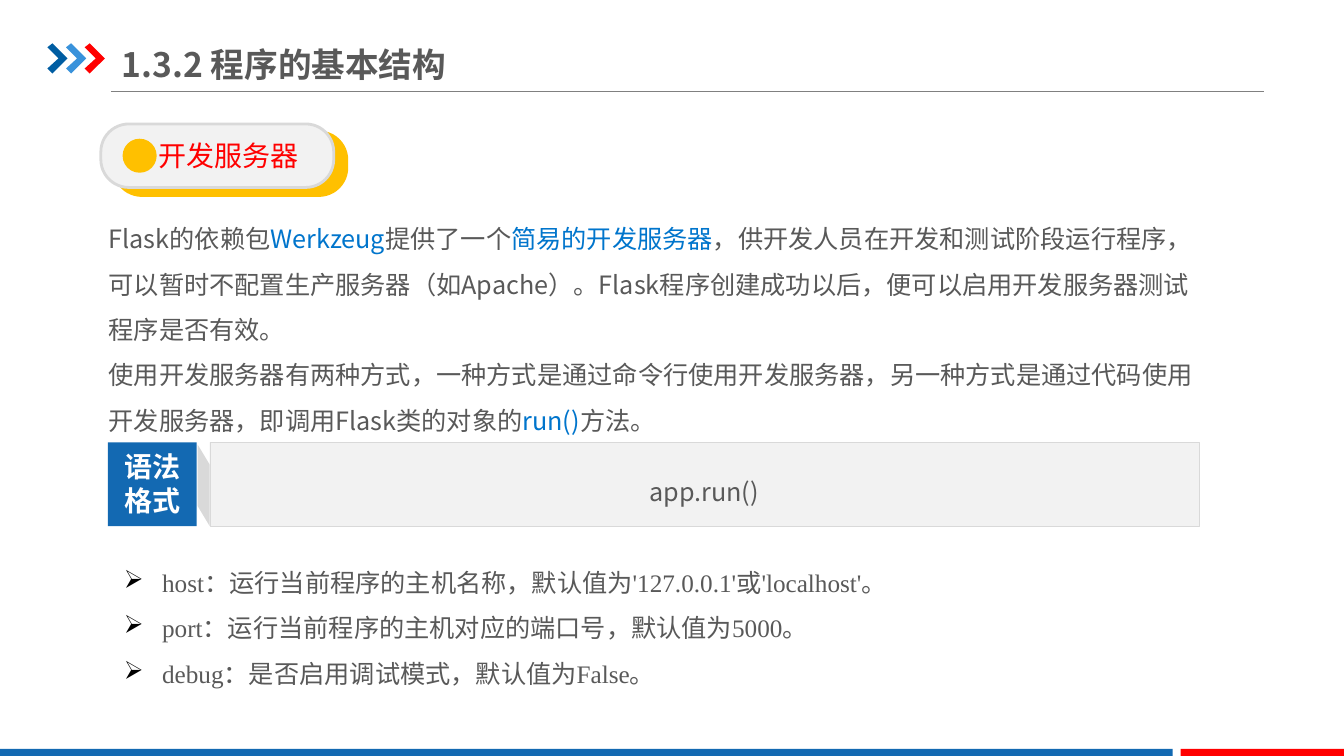
from dataclasses import dataclass

from lxml import etree
from pptx import Presentation
from pptx.dml.color import RGBColor
from pptx.enum import shapes, text
from pptx.oxml import ns
from pptx.util import Inches, Pt

COLORS = {
    "blue": "1369B2", "dark_blue": "005DA2", "light_blue": "3992DB",
    "keyword": "0075CC", "red": "FF0000", "amber": "FFC000",
    "body": "595959", "rule": "808080", "border": "D9D9D9",
    "panel": "F2F2F2", "white": "FFFFFF", "black": "000000",
}
SANS, SERIF = "Noto Sans CJK SC", "Times New Roman"
RECTANGLE = shapes.MSO_SHAPE.RECTANGLE
ROUNDED = shapes.MSO_SHAPE.ROUNDED_RECTANGLE
OVAL = shapes.MSO_SHAPE.OVAL
CENTER = text.PP_ALIGN.CENTER


@dataclass
class Piece:
    content: str
    color: str = "body"


@dataclass
class Style:
    size: float = 18
    font: str = SANS
    bold: bool = False
    spacing: float = 1.0
    align: text.PP_ALIGN = text.PP_ALIGN.LEFT
    bullet: str = ""


@dataclass
class Block:
    kind: shapes.MSO_SHAPE
    box: tuple[float, float, float, float]
    fill: str
    line: str = ""
    line_width: float = 0


def rgb(name: str) -> RGBColor:
    return RGBColor.from_string(COLORS[name])


def add_block(slide, block: Block):
    shape = slide.shapes.add_shape(block.kind, *map(Inches, block.box))
    shape.shadow.inherit = False
    shape.fill.solid()
    shape.fill.fore_color.rgb = rgb(block.fill)
    if block.line:
        shape.line.color.rgb = rgb(block.line)
        shape.line.width = Pt(block.line_width)
    else:
        shape.line.fill.background()
    if block.kind == ROUNDED:
        shape.adjustments[0] = 0.44
    return shape


def add_outline(slide, points: list[tuple[float, float]], fill: str) -> None:
    corners = [(Inches(x), Inches(y)) for x, y in points]
    builder = slide.shapes.build_freeform(*corners[0])
    builder.add_line_segments(corners[1:], close=True)
    shape = builder.convert_to_shape()
    shape.shadow.inherit = False
    shape.fill.solid()
    shape.fill.fore_color.rgb = rgb(fill)
    shape.line.fill.background()


def add_bullet(paragraph, character: str) -> None:
    paragraph.level = 1
    properties = paragraph._p.get_or_add_pPr()
    properties.set("marL", str(Inches(0.38)))
    properties.set("indent", str(-Inches(0.38)))
    color = etree.SubElement(properties, ns.qn("a:buClr"))
    etree.SubElement(color, ns.qn("a:srgbClr"), val=COLORS["black"])
    etree.SubElement(properties, ns.qn("a:buChar"), char=character)


def write(frame, paragraphs: list[list[Piece]], style: Style) -> None:
    for index, pieces in enumerate(paragraphs):
        paragraph = frame.add_paragraph() if index else frame.paragraphs[0]
        paragraph.alignment = style.align
        paragraph.line_spacing = style.spacing
        if style.bullet:
            add_bullet(paragraph, style.bullet)
        for piece in pieces:
            run = paragraph.add_run()
            run.text = piece.content
            run.font.size = Pt(style.size)
            run.font.bold = style.bold
            run.font.color.rgb = rgb(piece.color)
            run.font.name = style.font
            etree.SubElement(run._r.get_or_add_rPr(), ns.qn("a:ea"), typeface=SANS)


def add_text(slide, box: tuple[float, float, float, float],
             paragraphs: list[list[Piece]], style: Style, wrap: bool = True):
    frame = slide.shapes.add_textbox(*map(Inches, box)).text_frame
    frame.word_wrap = wrap
    frame.auto_size = text.MSO_AUTO_SIZE.SHAPE_TO_FIT_TEXT
    write(frame, paragraphs, style)
    return frame


def add_header(slide) -> None:
    rule = slide.shapes.add_connector(
        shapes.MSO_CONNECTOR.STRAIGHT,
        Inches(1.1), Inches(0.91), Inches(12.54), Inches(0.91))
    rule.line.color.rgb = rgb("rule")
    rule.line.width = Pt(0.75)
    etree.SubElement(rule._element.spPr, ns.qn("a:effectLst"))

    chevron = [(0, 0.04), (0.05, 0), (0.2, 0.15), (0.05, 0.3), (0, 0.25), (0.11, 0.15)]
    for index, color in enumerate(("dark_blue", "light_blue", "red")):
        left = 0.47 + index * 0.185
        add_outline(slide, [(left + x, 0.43 + y) for x, y in chevron], color)

    frame = add_text(slide, (1.21, 0.36, 4.76, 0.55),
                     [[Piece("1.3.2 程序的基本结构")]], Style(size=24, bold=True))
    frame.auto_size = text.MSO_AUTO_SIZE.NONE
    frame.vertical_anchor = text.MSO_ANCHOR.MIDDLE
    frame.margin_left = frame.margin_right = 0
    frame.margin_top = frame.margin_bottom = Inches(0.07)


def add_badge(slide) -> None:
    add_block(slide, Block(ROUNDED, (1.13, 1.31, 2.31, 0.63), "amber", "amber", 2))
    label = add_block(slide, Block(ROUNDED, (1, 1.23, 2.31, 0.63), "panel", "border", 2))
    label.text_frame.margin_left = Inches(0.33)  # room for the dot
    write(label.text_frame, [[Piece("开发服务器", "red")]], Style(size=20, align=CENTER))
    add_block(slide, Block(OVAL, (1.23, 1.39, 0.31, 0.31), "amber", "amber", 2))


def add_syntax(slide) -> None:
    panel = add_block(slide, Block(RECTANGLE, (2.08, 4.39, 9.81, 0.83), "panel", "border", 0.25))
    write(panel.text_frame, [[Piece("app.run()")]], Style(spacing=1.5, align=CENTER))
    add_block(slide, Block(RECTANGLE, (1.07, 4.39, 0.88, 0.83), "blue"))
    add_text(slide, (1.13, 4.41, 0.76, 0.77),
             [[Piece("语法", "white")], [Piece("格式", "white")]],
             Style(size=20, bold=True, align=CENTER), wrap=False)
    add_outline(slide, [(2.08, 4.61), (2.08, 5.22), (1.96, 5.02), (1.96, 4.41)], "border")


INTRODUCTION = [
    [
        Piece("Flask的依赖包"), Piece("Werkzeug", "keyword"), Piece("提供了一个"),
        Piece("简易的开发服务器", "keyword"),
        Piece("，供开发人员在开发和测试阶段运行程序，可以暂时不配置生产服务器（如Apache）。"
              "Flask程序创建成功以后，便可以启用开发服务器测试程序是否有效。"),
    ],
    [
        Piece("使用开发服务器有两种方式，一种方式是通过命令行使用开发服务器，"
              "另一种方式是通过代码使用开发服务器，即调用Flask类的对象的"),
        Piece("run()", "keyword"), Piece("方法。"),
    ],
]
PARAMETERS = [
    [Piece("host：运行当前程序的主机名称，默认值为'127.0.0.1'或'localhost'。")],
    [Piece("port：运行当前程序的主机对应的端口号，默认值为5000。")],
    [Piece("debug：是否启用调试模式，默认值为False。")],
]


def main() -> None:
    presentation = Presentation()
    presentation.slide_width = Inches(13.33)
    presentation.slide_height = Inches(7.5)
    slide = presentation.slides.add_slide(presentation.slide_layouts[6])

    # Header and footer bars
    add_header(slide)
    add_block(slide, Block(RECTANGLE, (0, 7.43, 11.63, 0.09), "blue"))
    add_block(slide, Block(RECTANGLE, (11.71, 7.43, 1.63, 0.09), "red"))

    # Topic and explanation
    add_text(slide, (0.98, 2.02, 11.03, 2.37), INTRODUCTION, Style(spacing=1.5))
    add_badge(slide)

    # Syntax panel and its parameters
    add_syntax(slide)
    add_text(slide, (1.13, 5.43, 10.75, 1.46), PARAMETERS,
             Style(font=SERIF, spacing=1.5, bullet="➢"))

    presentation.save("out.pptx")


if __name__ == "__main__":
    main()
